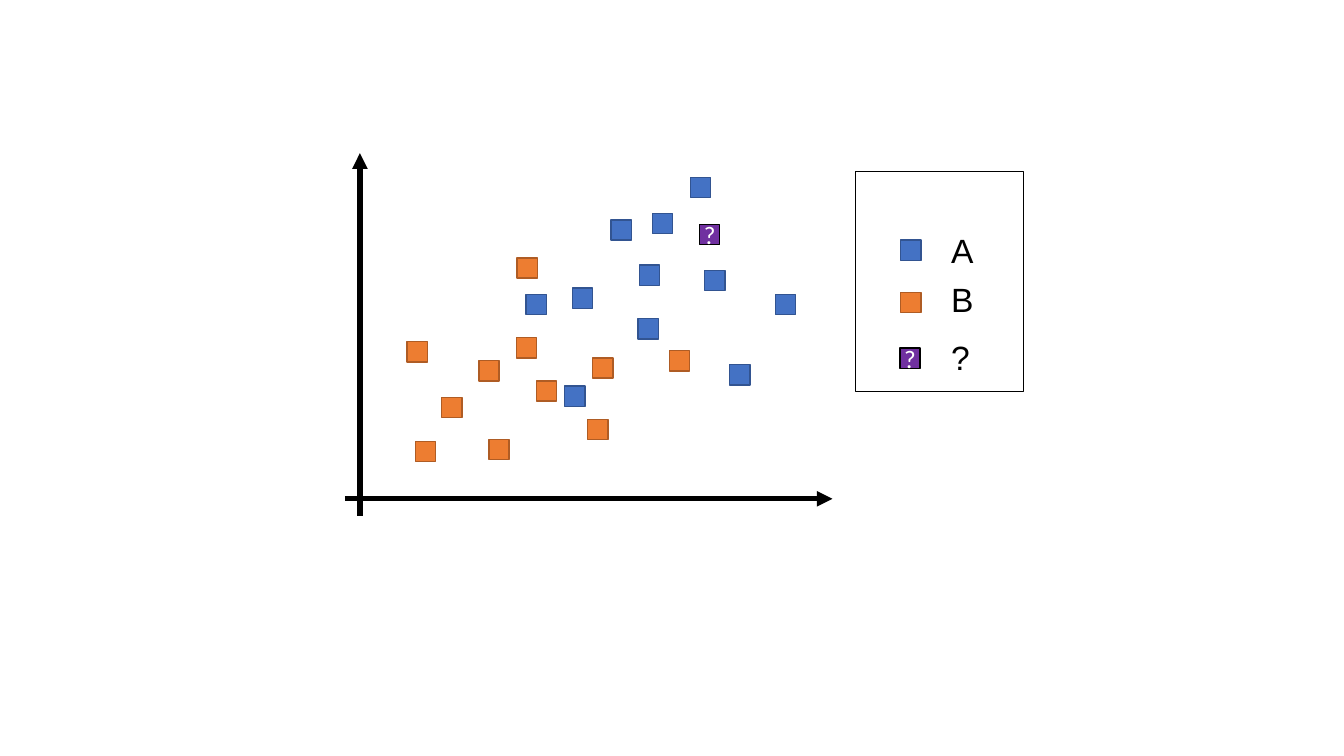
import collections

import lxml.etree
import pptx
import pptx.dml.color
import pptx.enum.shapes
import pptx.enum.text
import pptx.oxml.ns
import pptx.util

Cm = pptx.util.Cm
Pt = pptx.util.Pt
Box = collections.namedtuple("Box", "left top width height")
Style = collections.namedtuple("Style", "fill line symbol")

MARKER_SIZE = 0.51
STYLES = {
    "A": Style("4472C4", "325491", ""),
    "B": Style("ED7D31", "AF5C24", ""),
    "?": Style("7030A0", "000000", "?"),
}
POINTS = {
    "B": [(3.38, 5.23), (2.44, 6.15), (3.63, 7.21), (8.18, 4.98),
          (6.25, 5.16), (4.83, 5.74), (4.32, 4.65), (6.12, 6.71),
          (1.78, 7.26), (4.34, 2.64), (1.57, 4.75)],
    "A": [(8.71, 0.61), (6.71, 1.68), (5.54, 5.87), (5.74, 3.4),
          (7.39, 4.17), (7.42, 2.82), (9.7, 5.33), (10.85, 3.56),
          (9.07, 2.95), (4.57, 3.56), (7.75, 1.52)],
    "?": [(8.94, 1.8)],
}
LEGEND_ROWS = [
    ("A", 1.14, 1.73, 1.35, 1.09),
    ("B", 1.14, 3.05, 2.59, 1.09),
    ("?", 1.12, 4.45, 4.04, 0.99),
]


def color(value):
    return pptx.dml.color.RGBColor.from_string(value)


def add_text(para, text, font, size, fill):
    span = para.add_run()
    span.text = text
    span.font.name = font
    span.font.size = Pt(size)
    span.font.color.rgb = color(fill)


def add_square(page, box, line):
    square = page.shapes.add_shape(
        pptx.enum.shapes.MSO_SHAPE.RECTANGLE, *map(Cm, box))
    square.shadow.inherit = False
    square.line.color.rgb = color(line)
    square.line.width = Pt(1)
    return square


def add_marker(page, left, top, label):
    style = STYLES[label]
    marker = add_square(
        page, Box(left, top, MARKER_SIZE, MARKER_SIZE), style.line)
    marker.fill.solid()
    marker.fill.fore_color.rgb = color(style.fill)
    if style.symbol:
        frame = marker.text_frame
        frame.margin_left = frame.margin_right = 0
        frame.margin_top = frame.margin_bottom = 0
        frame.vertical_anchor = pptx.enum.text.MSO_ANCHOR.MIDDLE
        para = frame.paragraphs[0]
        para.alignment = pptx.enum.text.PP_ALIGN.CENTER
        add_text(para, style.symbol, "Calibri", 18, "FFFFFF")


def add_axis(page, start, end):
    axis = page.shapes.add_connector(
        pptx.enum.shapes.MSO_CONNECTOR.STRAIGHT, *map(Cm, start + end))
    axis.line.color.rgb = color("000000")
    axis.line.width = Pt(3.75)
    qn = pptx.oxml.ns.qn
    head = lxml.etree.SubElement(axis.line._get_or_add_ln(), qn("a:tailEnd"))
    head.set("type", "triangle")
    lxml.etree.SubElement(axis._element.spPr, qn("a:effectLst"))


def add_plot(page, box):
    across = box.top + 8.71
    upright = box.left + 0.38
    add_axis(page, (box.left, across), (box.left + box.width, across))
    add_axis(page, (upright, box.top + box.height), (upright, box.top))
    for label, points in POINTS.items():
        for x, y in points:
            add_marker(page, box.left + x, box.top + y, label)


def add_legend(page, box):
    for label, marker_x, marker_y, label_y, width in LEGEND_ROWS:
        add_marker(page, box.left + marker_x, box.top + marker_y, label)
        caption = page.shapes.add_textbox(
            Cm(box.left + 2.16), Cm(box.top + label_y), Cm(width), Cm(1.27))
        frame = caption.text_frame
        frame.word_wrap = False
        frame.auto_size = pptx.enum.text.MSO_AUTO_SIZE.SHAPE_TO_FIT_TEXT
        add_text(frame.paragraphs[0], label, "Arial", 24, "000000")
    add_square(page, box, "000000").fill.background()


def main():
    deck = pptx.Presentation()
    deck.slide_width = Cm(33.87)
    deck.slide_height = Cm(19.05)
    page = deck.slides.add_slide(deck.slide_layouts[6])
    add_plot(page, Box(8.69, 3.86, 12.29, 9.14))
    add_legend(page, Box(21.56, 4.32, 4.24, 5.54))
    deck.save("out.pptx")


if __name__ == "__main__":
    main()
